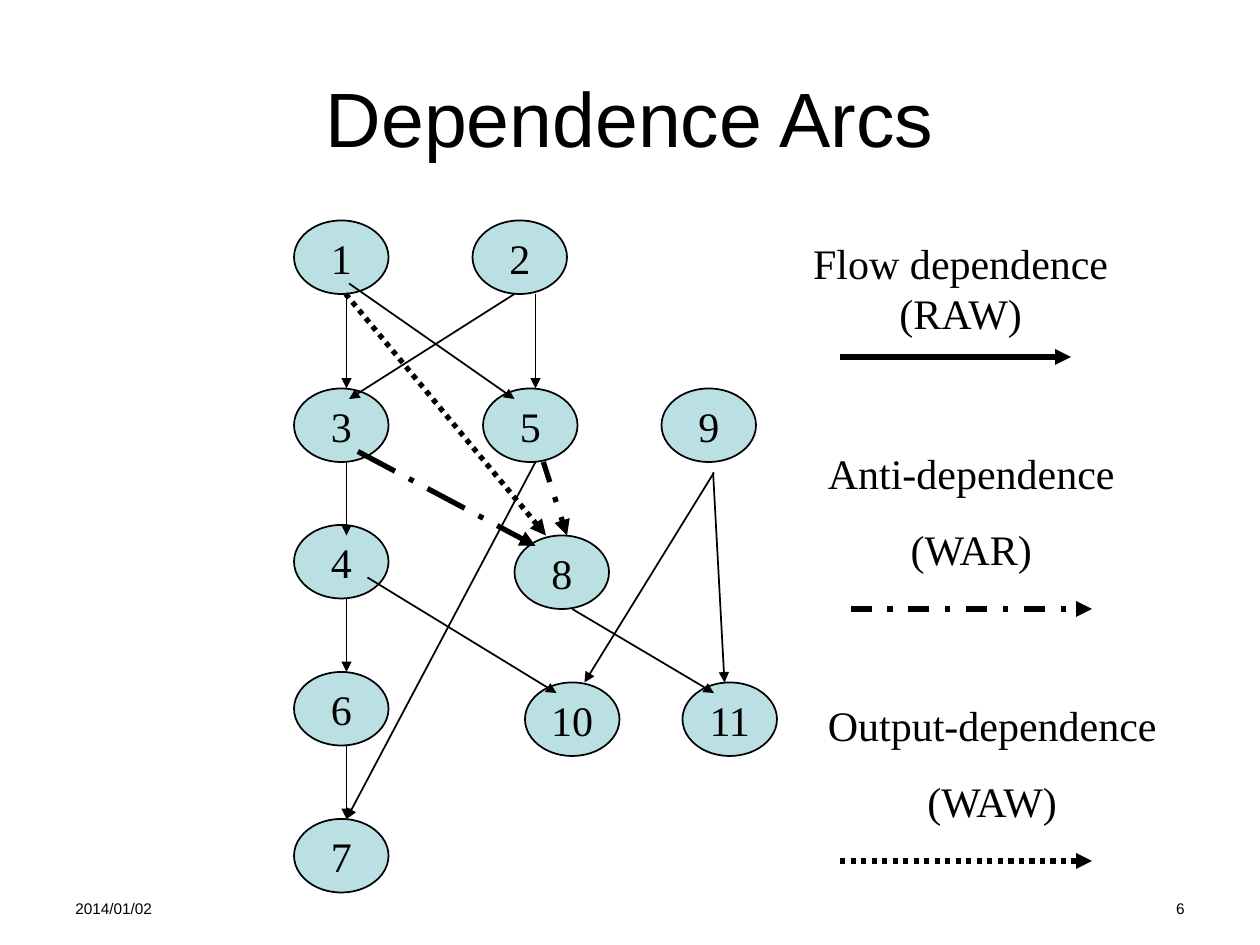
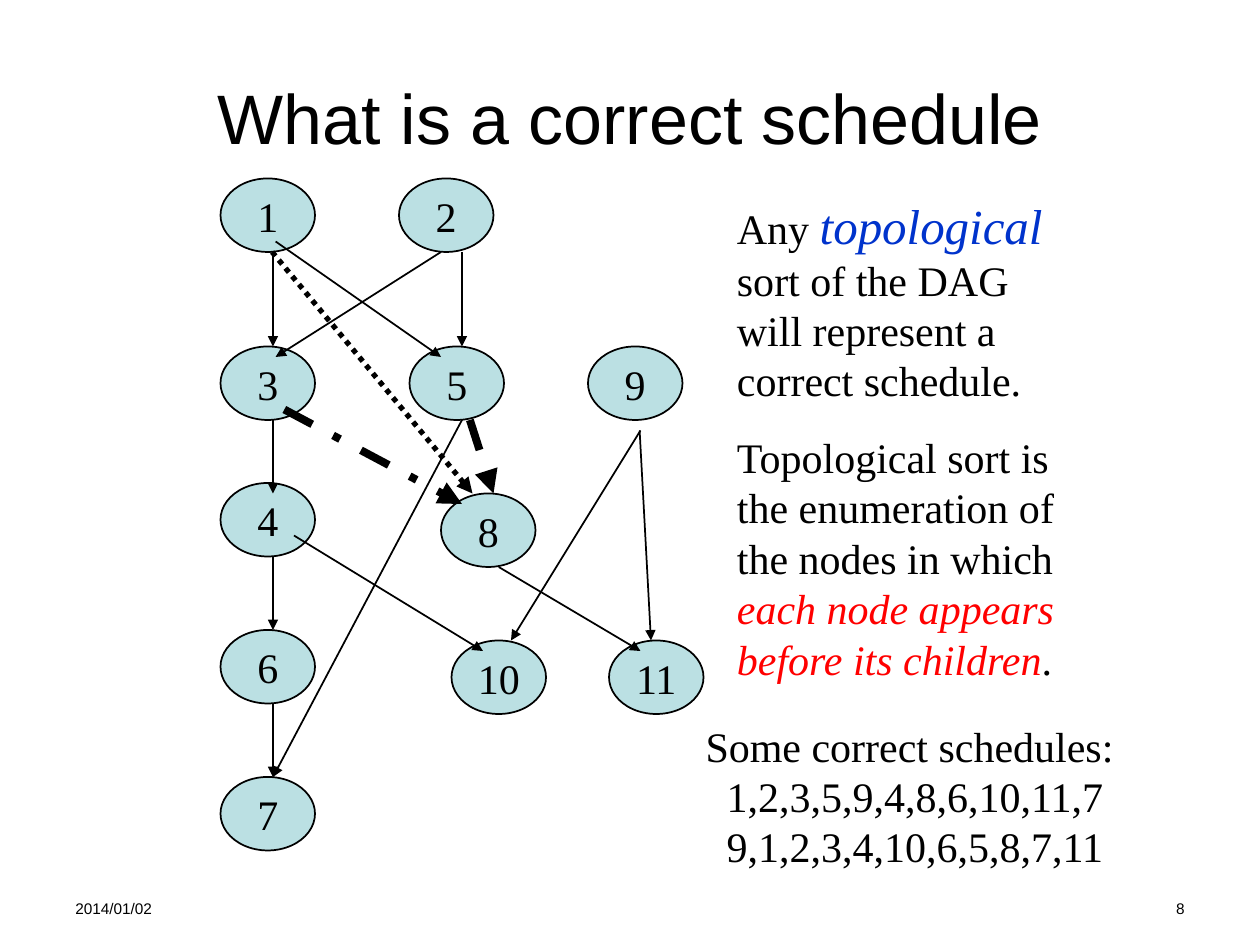
import pptx
import pptx.dml.color
import pptx.enum.dml
import pptx.enum.shapes
import pptx.enum.text
import pptx.oxml.ns
import pptx.util
from lxml import etree

Pt = pptx.util.Pt
ALIGN = pptx.enum.text.PP_ALIGN
ANCHOR = pptx.enum.text.MSO_ANCHOR
DASH = pptx.enum.dml.MSO_LINE

BLACK, NODE_FILL, BLUE, RED = "000000", "BBE0E3", "0033CC", "FF0000"
HEADING_FONT, BODY_FONT = "Arial", "Times New Roman"
BODY_SIZE = 24
DATE = "2014/01/02"

# Dependence graph: places are relative to the corner of node 1
NODE_W, NODE_H = 54, 42
NODES = {
    "1": (0, 0), "2": (102, 0),
    "3": (0, 96), "5": (108, 96), "9": (210, 96),
    "4": (0, 174), "8": (126, 180),
    "6": (0, 258), "10": (132, 264), "11": (222, 264),
    "7": (0, 342),
}
FLOW_ARCS = [
    (30, 42, 30, 96),        # 1 to 3
    (126, 42, 31.5, 102),    # 2 to 3
    (31.5, 36, 126, 102),    # 1 to 5
    (138, 42, 138, 96),      # 2 to 5
    (30, 138, 30, 180),      # 3 to 4
    (30, 216, 30, 258),      # 4 to 6
    (30, 300, 30, 342),      # 6 to 7
    (138, 138, 30, 342),     # 5 to 7
    (42, 204, 150, 270),     # 4 to 10
    (240, 144, 166, 264),    # 9 to 10
    (159, 222, 240, 270),    # 8 to 11
    (239.5, 144, 246, 264),  # 9 to 11
]
ANTI_5_TO_8 = (142.5, 138, 156, 180)
ANTI_3_TO_8 = (36.5, 132, 138, 186)
OUTPUT_1_TO_8 = (29.5, 42, 144, 180)


def rgb(hex_string):
    return pptx.dml.color.RGBColor.from_string(hex_string)


class Deck:
    def __init__(self):
        self.prs = pptx.Presentation()
        self.prs.slide_width, self.prs.slide_height = Pt(720), Pt(540)
        self.slide = None

    def new_slide(self, title, title_size, number):
        self.slide = self.prs.slides.add_slide(self.prs.slide_layouts[6])
        self.text(36, 510, 168, 19.4, [[(DATE, {})]], size=8.8, font=HEADING_FONT)
        self.text(516, 510, 168, 19.4, [[(number, {})]], size=8.8,
                  font=HEADING_FONT, align=ALIGN.RIGHT)
        self.text(36, 21.6, 648, 90, [[(title, {})]], size=title_size,
                  font=HEADING_FONT, align=ALIGN.CENTER, anchor=ANCHOR.MIDDLE)

    def fill_frame(self, frame, paragraphs, size=BODY_SIZE, font=BODY_FONT,
                   align=ALIGN.LEFT, anchor=ANCHOR.TOP, before=0, wrap=True):
        """Each paragraph is a list of (text, style changes) runs."""
        frame.word_wrap = wrap
        frame.vertical_anchor = anchor
        for index, runs in enumerate(paragraphs):
            paragraph = frame.add_paragraph() if index else frame.paragraphs[0]
            paragraph.alignment = align
            paragraph.space_before = Pt(before)
            for words, changes in runs:
                run = paragraph.add_run()
                run.text = words
                run.font.name = font
                run.font.size = Pt(changes.get("size", size))
                run.font.italic = changes.get("italic", False)
                run.font.color.rgb = rgb(changes.get("color", BLACK))

    def text(self, left, top, width, height, paragraphs, **style):
        box = self.slide.shapes.add_textbox(Pt(left), Pt(top), Pt(width), Pt(height))
        self.fill_frame(box.text_frame, paragraphs, **style)

    def node(self, left, top, label):
        oval = self.slide.shapes.add_shape(
            pptx.enum.shapes.MSO_SHAPE.OVAL, Pt(left), Pt(top), Pt(NODE_W), Pt(NODE_H))
        oval.shadow.inherit = False
        oval.fill.solid()
        oval.fill.fore_color.rgb = rgb(NODE_FILL)
        oval.line.color.rgb = rgb(BLACK)
        oval.line.width = Pt(1)
        self.fill_frame(oval.text_frame, [[(label, {})]], align=ALIGN.CENTER,
                        anchor=ANCHOR.MIDDLE, wrap=False)

    def arrow(self, ends, weight=1, dash=None, origin=(0, 0)):
        x1, y1, x2, y2 = ends
        dx, dy = origin
        arc = self.slide.shapes.add_connector(
            pptx.enum.shapes.MSO_CONNECTOR.STRAIGHT,
            Pt(x1 + dx), Pt(y1 + dy), Pt(x2 + dx), Pt(y2 + dy))
        arc.line.color.rgb = rgb(BLACK)
        arc.line.width = Pt(weight)
        if dash is not None:
            arc.line.dash_style = dash
        qn = pptx.oxml.ns.qn
        properties = arc.element.spPr
        etree.SubElement(properties.find(qn("a:ln")), qn("a:tailEnd"), type="triangle")
        etree.SubElement(properties, qn("a:effectLst"))

    def graph(self, left, top, anti_weight, long_dash):
        for label, (x, y) in NODES.items():
            self.node(left + x, top + y, label)
        origin = (left, top)
        for ends in FLOW_ARCS:
            self.arrow(ends, origin=origin)
        self.arrow(ANTI_5_TO_8, anti_weight, DASH.DASH_DOT, origin)
        self.arrow(ANTI_3_TO_8, anti_weight, long_dash, origin)
        self.arrow(OUTPUT_1_TO_8, 3, DASH.ROUND_DOT, origin)


def dependence_arcs(deck):
    deck.new_slide("Dependence Arcs", 44, "6")
    deck.graph(168, 126, 3, DASH.LONG_DASH_DOT)

    # Legend: caption lines, caption corner, arrow start and end, dash
    legend = [
        (["Flow dependence (RAW)"], 444, 132, 480, 612, None),
        (["Anti-dependence", "(WAR)"], 450, 252, 486, 624, DASH.DASH_DOT),
        (["Output-dependence", "(WAW)"], 462, 396, 480, 624, DASH.ROUND_DOT),
    ]
    for row, (caption, left, top, start, end, dash) in enumerate(legend):
        deck.text(left, top, 210, 108, [[(line, {})] for line in caption],
                  align=ALIGN.CENTER, before=15)
        arrow_y = 204 + 144 * row
        deck.arrow((start, arrow_y, end, arrow_y), 3, dash)


def correct_schedule(deck):
    deck.new_slide("What is a correct schedule", 40, "8")
    deck.graph(126, 102, 4.5, DASH.DASH_DOT)

    # Definition
    deck.text(414, 108, 198, 286.5, [
        [("Any ", {}),
         ("topological", {"size": 28, "color": BLUE, "italic": True}),
         (" ", {}),
         ("sort of the DAG will represent a correct schedule.", {})],
        [("Topological sort is the enumeration of the nodes in which ", {}),
         ("each node appears before its children", {"color": RED, "italic": True}),
         (".", {})],
    ], before=15)

    # Examples
    schedules = ["Some correct schedules: ", "1,2,3,5,9,4,8,6,10,11,7",
                 "9,1,2,3,4,10,6,5,8,7,11"]
    deck.text(396, 408, 253.5, 93.6, [[(line, {})] for line in schedules],
              align=ALIGN.CENTER, wrap=False)


def main():
    deck = Deck()
    dependence_arcs(deck)
    correct_schedule(deck)
    deck.prs.save("out.pptx")


if __name__ == "__main__":
    main()
